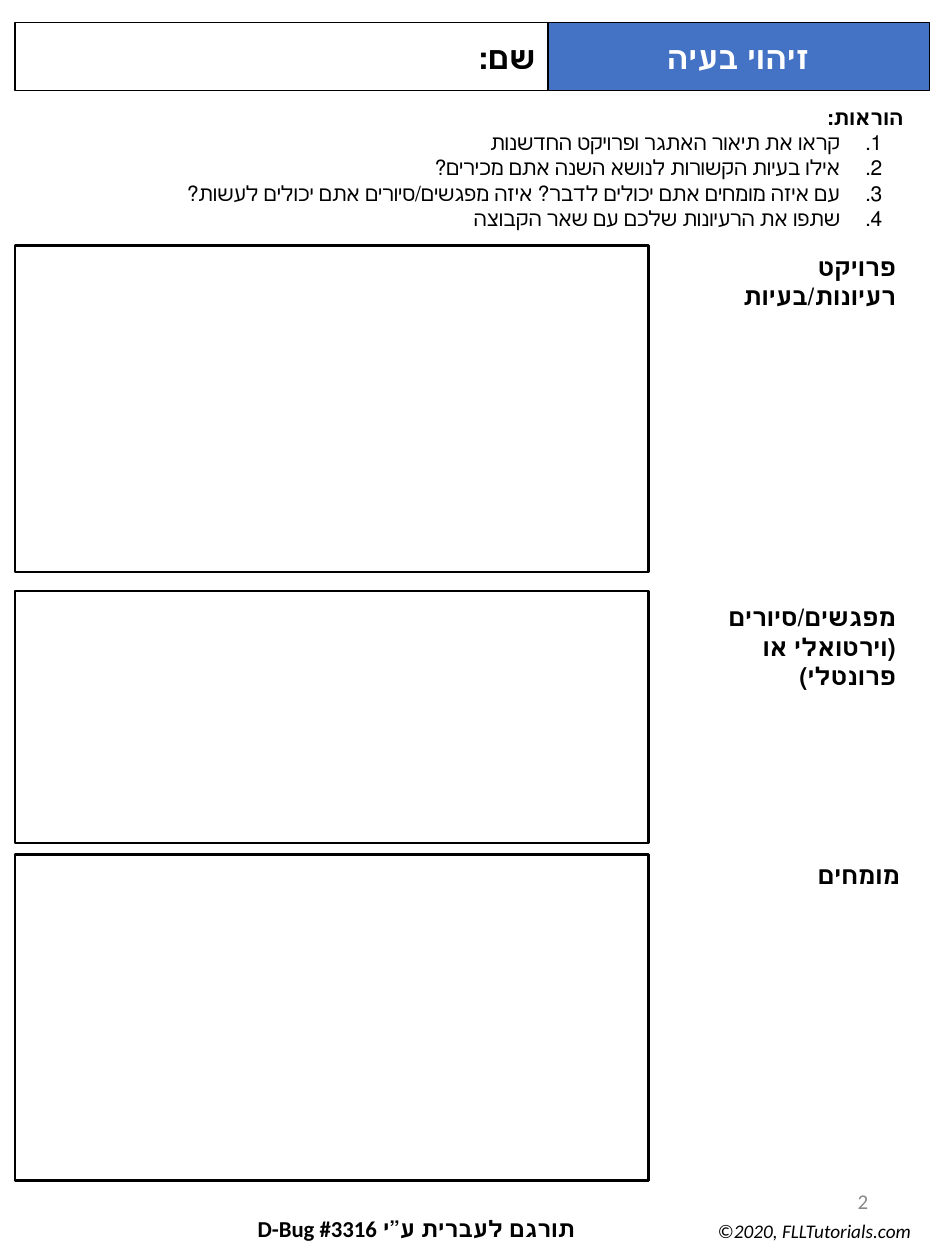
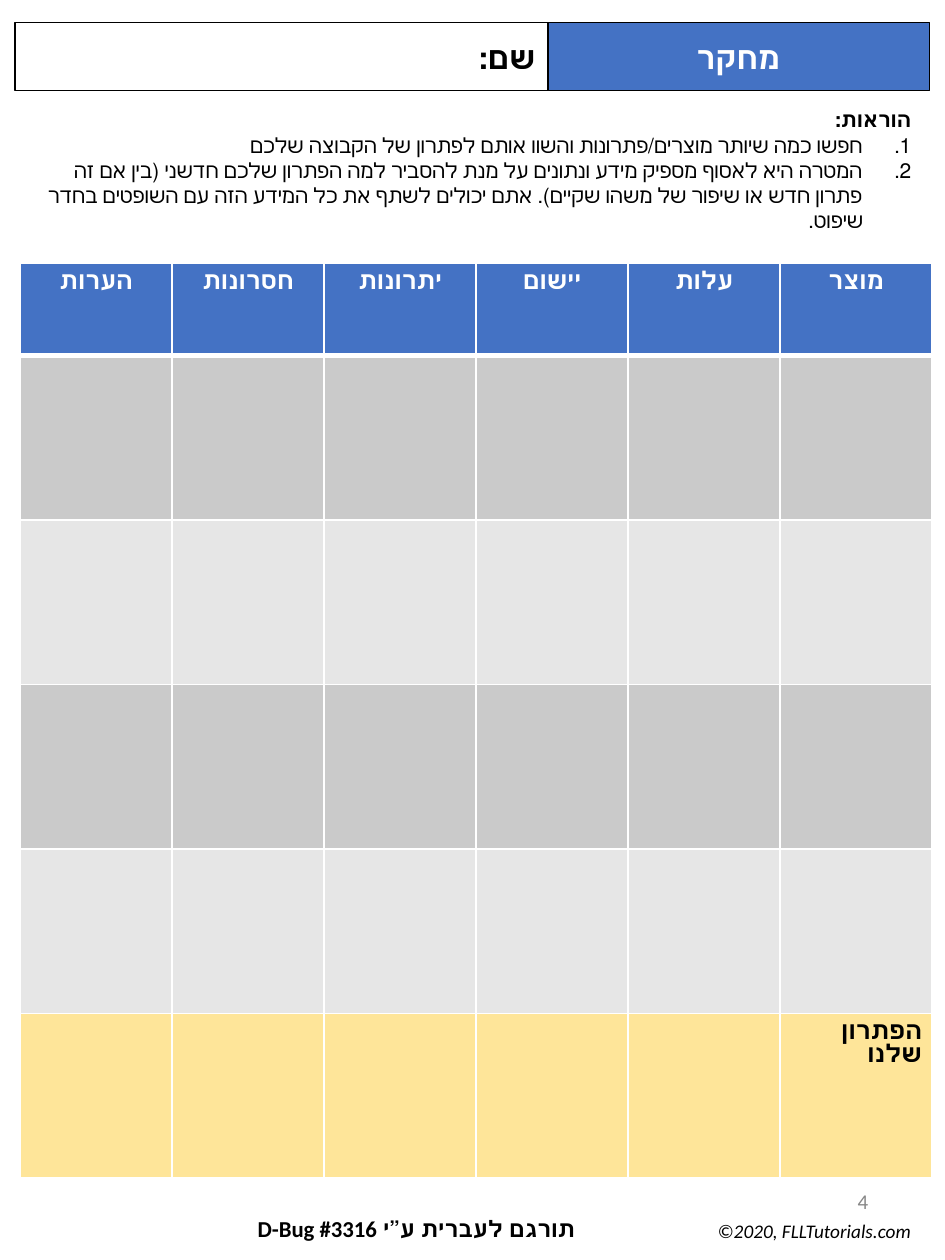
from dataclasses import dataclass
from typing import Any, NamedTuple, Optional

import pptx
import pptx.dml.color
import pptx.enum.lang
import pptx.enum.shapes
import pptx.enum.text
import pptx.oxml.ns
import pptx.util
from lxml import etree
from pptx.util import Inches

ALIGN = pptx.enum.text.PP_ALIGN
ANCHOR = pptx.enum.text.MSO_ANCHOR


@dataclass(frozen=True)
class Theme:
    blue: str = "4472C4"
    black: str = "000000"
    white: str = "FFFFFF"
    gray: str = "888888"
    dark: str = "CACACA"
    light: str = "E6E6E6"
    gold: str = "FEE599"
    font: str = "Calibri"
    grid_font: str = "Arial"
    title: float = 18
    label: float = 14
    credit: float = 13
    body: float = 12
    foot: float = 11


THEME = Theme()


class Box(NamedTuple):
    left: float
    top: float
    width: float
    height: float


class Topic(NamedTuple):
    lines: list[str]
    frame: Box
    label: Box


class Sheet(NamedTuple):
    title: str
    number: str
    steps: list[str]
    guide: Box
    hang: tuple[float, float]
    foot: Box


TITLE = Box(4.34, 0.18, 3.04, 0.54)
NAME = Box(0.12, 0.18, 4.23, 0.54)
PAGE = Box(5.3, 9.27, 1.69, 0.53)
CREDIT = Box(0.46, 9.59, 4.2, 0.28)
GRID = Box(0.16, 2.09, 7.24, 7.26)
HEAD_ROW = 0.73

SHEETS = [
    Sheet(
        "זיהוי בעיה", "2",
        ["קראו את תיאור האתגר ופרויקט החדשנות",
         "אילו בעיות הקשורות לנושא השנה אתם מכירים?",
         "עם איזה מומחים אתם יכולים לדבר? איזה מפגשים/סיורים אתם יכולים לעשות?",
         "שתפו את הרעיונות שלכם עם שאר הקבוצה"],
        Box(0, 0.78, 7.27, 1.12), (0.5, -0.33), Box(5.24, 9.63, 2.09, 0.28)),
    Sheet(
        "מחקר", "4",
        ["חפשו כמה שיותר מוצרים/פתרונות והשוו אותם לפתרון של הקבוצה שלכם",
         "המטרה היא לאסוף מספיק מידע ונתונים על מנת להסביר למה הפתרון שלכם "
         "חדשני (בין אם זה פתרון חדש או שיפור של משהו שקיים). אתם יכולים לשתף "
         "את כל המידע הזה עם השופטים בחדר שיפוט."],
        Box(0.09, 0.8, 7.24, 1.21), (0.38, -0.38), Box(5.18, 9.63, 2.15, 0.28)),
]

TOPICS = [
    Topic(["פרויקט", "רעיונות/בעיות"],
          Box(0.12, 1.95, 5.03, 2.59), Box(5.33, 1.95, 1.88, 0.94)),
    Topic(["מפגשים/סיורים (וירטואלי או פרונטלי)"],
          Box(0.12, 4.69, 5.03, 2), Box(5.33, 4.73, 1.88, 0.54)),
    Topic(["מומחים"],
          Box(0.12, 6.78, 5.03, 2.59), Box(5.36, 6.78, 1.88, 0.54)),
]

HEADS = ["הערות", "חסרונות", "יתרונות", "יישום", "עלות", "מוצר"]
FILLS = [THEME.blue, THEME.dark, THEME.light, THEME.dark, THEME.light, THEME.gold]


def rgb(code: str) -> pptx.dml.color.RGBColor:
    return pptx.dml.color.RGBColor.from_string(code)


def add_node(parent: Any, tag: str, **attrs: str) -> Any:
    return etree.SubElement(parent, pptx.oxml.ns.qn(tag), attrs)


def number_list(para: Any, hang: tuple[float, float]) -> None:
    """Give a paragraph an automatic number and a hanging indent."""
    props = para._p.get_or_add_pPr()
    props.set("marL", str(Inches(hang[0])))
    props.set("indent", str(Inches(hang[1])))
    add_node(add_node(props, "a:buClr"), "a:srgbClr", val=THEME.black)
    add_node(props, "a:buFont", typeface="Arial")
    add_node(props, "a:buAutoNum", type="arabicPeriod")


def write(frame: Any, text: str, *, size: float, color: str = THEME.black,
          font: str = THEME.font, bold: bool = False, italic: bool = False,
          align: Any = ALIGN.RIGHT, rtl: bool = False, more: bool = False,
          hang: Optional[tuple[float, float]] = None,
          space: Optional[float] = None) -> None:
    """Write one paragraph; more=True adds it below those already there."""
    para = frame.add_paragraph() if more else frame.paragraphs[0]
    para.alignment = align
    if rtl:
        para._p.get_or_add_pPr().set("rtl", "1")
    if hang:
        number_list(para, hang)
    if space:
        para.line_spacing = space
    run = para.add_run()
    run.text = text
    run.font.size = pptx.util.Pt(size)
    run.font.bold = bold
    run.font.italic = italic
    run.font.color.rgb = rgb(color)
    run.font.name = font
    if rtl:
        run.font.language_id = pptx.enum.lang.MSO_LANGUAGE_ID.HEBREW


def add_text(slide: Any, box: Box, anchor: Any = ANCHOR.TOP) -> Any:
    frame = slide.shapes.add_textbox(*map(Inches, box)).text_frame
    frame.word_wrap = True
    frame.vertical_anchor = anchor
    return frame


def add_rect(slide: Any, box: Box, width: float, fill: str = "") -> Any:
    kind = pptx.enum.shapes.MSO_SHAPE.RECTANGLE
    rect = slide.shapes.add_shape(kind, *map(Inches, box))
    rect.shadow.inherit = False
    rect.line.color.rgb = rgb(THEME.black)
    rect.line.width = pptx.util.Pt(width)
    if fill:
        rect.fill.solid()
        rect.fill.fore_color.rgb = rgb(fill)
    else:
        rect.fill.background()
    rect.text_frame.word_wrap = True
    rect.text_frame.vertical_anchor = ANCHOR.MIDDLE
    return rect.text_frame


def add_sheet(deck: Any, sheet: Sheet) -> Any:
    """Add a slide with the header, instructions and footer all sheets share."""
    slide = deck.slides.add_slide(deck.slide_layouts[6])
    write(add_rect(slide, TITLE, 0.75, THEME.blue), sheet.title,
          size=THEME.title, color=THEME.white, bold=True, align=ALIGN.CENTER)
    write(add_rect(slide, NAME, 0.75, THEME.white), "שם:",
          size=THEME.title, bold=True, rtl=True)
    guide = add_text(slide, sheet.guide)
    write(guide, "הוראות:", size=THEME.body, bold=True, rtl=True)
    for step in sheet.steps:
        write(guide, step, size=THEME.body, rtl=True, more=True, hang=sheet.hang)
    write(add_text(slide, PAGE, ANCHOR.MIDDLE), sheet.number,
          size=THEME.body, color=THEME.gray)
    write(add_text(slide, sheet.foot), "©2020, FLLTutorials.com",
          size=THEME.foot, italic=True)
    write(add_text(slide, CREDIT), "תורגם לעברית ע”י D-Bug #3316",
          size=THEME.credit, bold=True, rtl=True)
    return slide


def add_topic(slide: Any, topic: Topic) -> None:
    add_rect(slide, topic.frame, 1.5)
    label = add_text(slide, topic.label)
    for i, line in enumerate(topic.lines):
        write(label, line, size=THEME.label, bold=True, rtl=True, more=i > 0)


def style_cell(cell: Any, fill: str, top: float, base: float) -> None:
    """Fill a cell and draw white borders, with top and base widths in points."""
    props = cell._tc.get_or_add_tcPr()
    for side, width in zip("LRTB", (1, 1, top, base)):
        line = add_node(props, f"a:ln{side}", w=str(pptx.util.Pt(width)))
        add_node(add_node(line, "a:solidFill"), "a:srgbClr", val=THEME.white)
    cell.fill.solid()
    cell.fill.fore_color.rgb = rgb(fill)
    cell.margin_left = cell.margin_right = Inches(0.08)
    cell.margin_top = cell.margin_bottom = Inches(0.07)


def add_grid(slide: Any) -> None:
    rows, cols = len(FILLS), len(HEADS)
    table = slide.shapes.add_table(rows, cols, *map(Inches, GRID)).table
    for col in table.columns:
        col.width = Inches(GRID.width / cols)
    for r, fill in enumerate(FILLS):
        high = (GRID.height - HEAD_ROW) / (rows - 1) if r else HEAD_ROW
        table.rows[r].height = Inches(high)
        for cell in table.rows[r].cells:
            style_cell(cell, fill, 3 if r == 1 else 1, 1 if r else 3)
    for c, head in enumerate(HEADS):
        write(table.cell(0, c).text_frame, head, size=THEME.label, bold=True,
              color=THEME.white, font=THEME.grid_font, align=ALIGN.CENTER, space=0.9)
    write(table.cell(rows - 1, cols - 1).text_frame, "הפתרון שלנו",
          size=THEME.label, bold=True, font=THEME.grid_font, space=0.9)


def main() -> None:
    deck = pptx.Presentation()
    deck.slide_width, deck.slide_height = Inches(7.5), Inches(10)
    ideas, study = (add_sheet(deck, sheet) for sheet in SHEETS)
    for topic in TOPICS:
        add_topic(ideas, topic)
    add_grid(study)
    deck.save("out.pptx")


if __name__ == "__main__":
    main()
